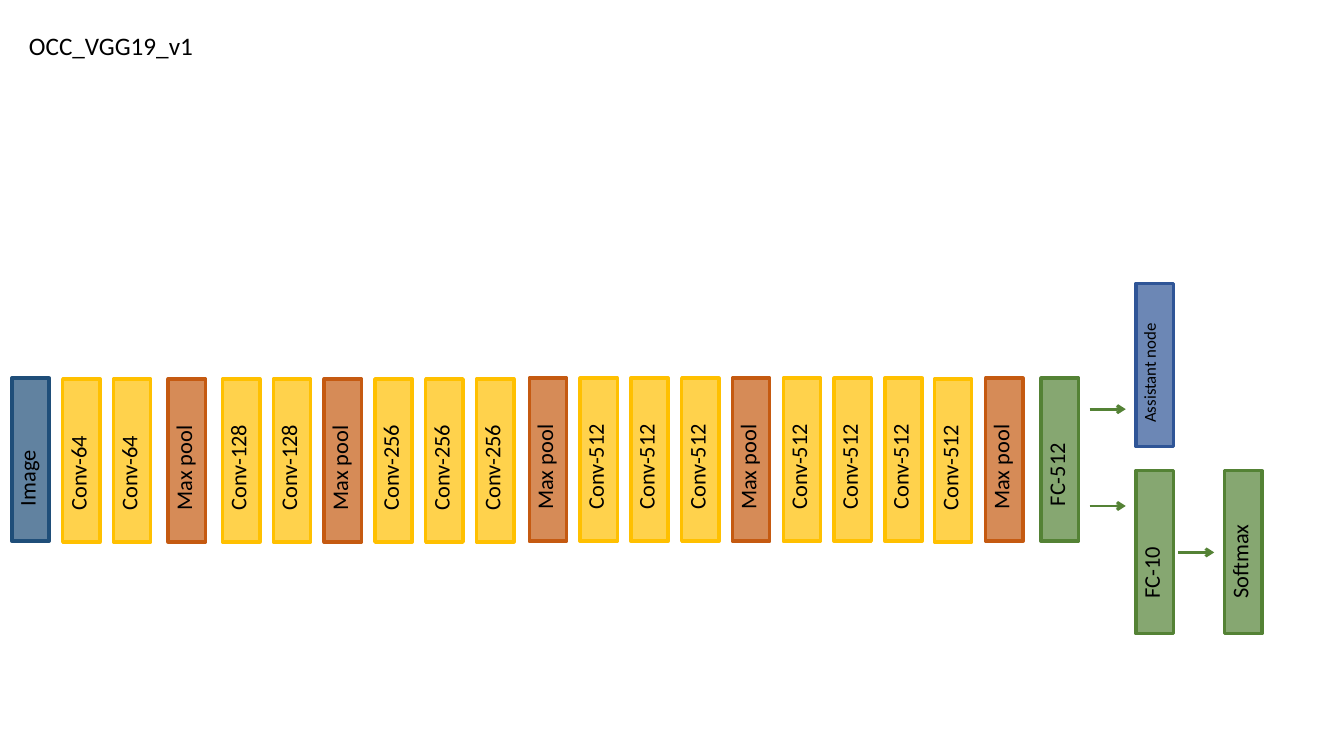
from lxml import etree
from pptx import Presentation
from pptx.dml.color import RGBColor
from pptx.enum.shapes import MSO_CONNECTOR as CONN, MSO_SHAPE as SHAPE
from pptx.enum.text import MSO_AUTO_SIZE as AUTO
from pptx.oxml.ns import qn
from pptx.util import Cm, Pt

BLOCK_W, BLOCK_H, PITCH = 0.94, 4.11, 1.28
GREEN = "548235"
STYLES = {
    "Image": ("1F4E79", 0.62),
    "Conv": ("FFC000", 0.53),
    "Max pool": ("C55A11", 0.53),
    "FC": (GREEN, 0.62),
    "Softmax": (GREEN, 0.62),
    "Assistant node": ("2F5597", 0.33),
}
RUNS = [
    (0.3, 9.53, ["Image"]),
    (1.58, 9.55, ["Conv-64"] * 2),
    (4.24, 9.55, ["Max pool"]),
    (5.61, 9.55, ["Conv-128"] * 2 + ["Max pool"] + ["Conv-256"] * 3),
    (13.34, 9.53, ["Max pool"] + ["Conv-512"] * 3 + ["Max pool"] + ["Conv-512"] * 3),
    (23.55, 9.55, ["Conv-512"]),
    (24.84, 9.53, ["Max pool"]),
    (26.24, 9.53, ["FC-512"]),
    (28.63, 11.86, ["FC-10"]),
    (30.86, 11.86, ["Softmax"]),
]
ARROWS = [(29.69, 13.92), (27.46, 12.75), (27.46, 10.31)]


def color(target, value):
    target.rgb = RGBColor.from_string(value)


def add_text(shapes, text, x, y, w, h, size):
    s = shapes.add_textbox(Cm(x), Cm(y), Cm(w), Cm(h))
    tf = s.text_frame
    tf.word_wrap = True
    tf.auto_size = AUTO.SHAPE_TO_FIT_TEXT
    r = tf.paragraphs[0].add_run()
    r.text = text
    r.font.name = "Calibri"
    r.font.size = Pt(size)
    color(r.font.color, "000000")
    return s


def add_block(sp, label, x, y, size=16, text_w=1.19, shift=0.09):
    fill, lift = STYLES[label.split("-")[0]]
    group = sp.add_group_shape().shapes
    s = group.add_shape(SHAPE.RECTANGLE, Cm(x), Cm(y), Cm(BLOCK_W), Cm(BLOCK_H))
    s.shadow.inherit = False
    s.fill.solid()
    color(s.fill.fore_color, fill)
    rgb = s.fill._xPr.find(qn("a:solidFill"))[0]
    etree.SubElement(rgb, qn("a:alpha")).set("val", "70000")
    color(s.line.color, fill)
    s.line.width = Pt(2.5)
    text = add_text(group, label, x - shift, y - lift, text_w, 4.09, size)
    text.rotation = 180
    text.text_frame._txBody.bodyPr.set("vert", "eaVert")


def add_arrow(sp, x, y, length=0.91):
    s = sp.add_connector(CONN.STRAIGHT, Cm(x), Cm(y), Cm(x + length), Cm(y))
    color(s.line.color, GREEN)
    s.line.width = Pt(2)
    etree.SubElement(s.line._get_or_add_ln(), qn("a:tailEnd")).set("type", "arrow")
    etree.SubElement(s._element.spPr, qn("a:effectLst"))


def main():
    prs = Presentation()
    prs.slide_width, prs.slide_height = Cm(33.87), Cm(19.05)
    sp = prs.slides.add_slide(prs.slide_layouts[6]).shapes
    add_text(sp, "OCC_VGG19_v1", 0.48, 0.64, 21.49, 1.02, 18)
    for left, top, labels in RUNS:
        for i, label in enumerate(labels):
            add_block(sp, label, left + i * PITCH, top)
    add_block(sp, "Assistant node", 28.63, 7.14, 12, 1.02, 0.05)
    for x, y in ARROWS:
        add_arrow(sp, x, y)
    prs.save("out.pptx")


if __name__ == "__main__":
    main()
